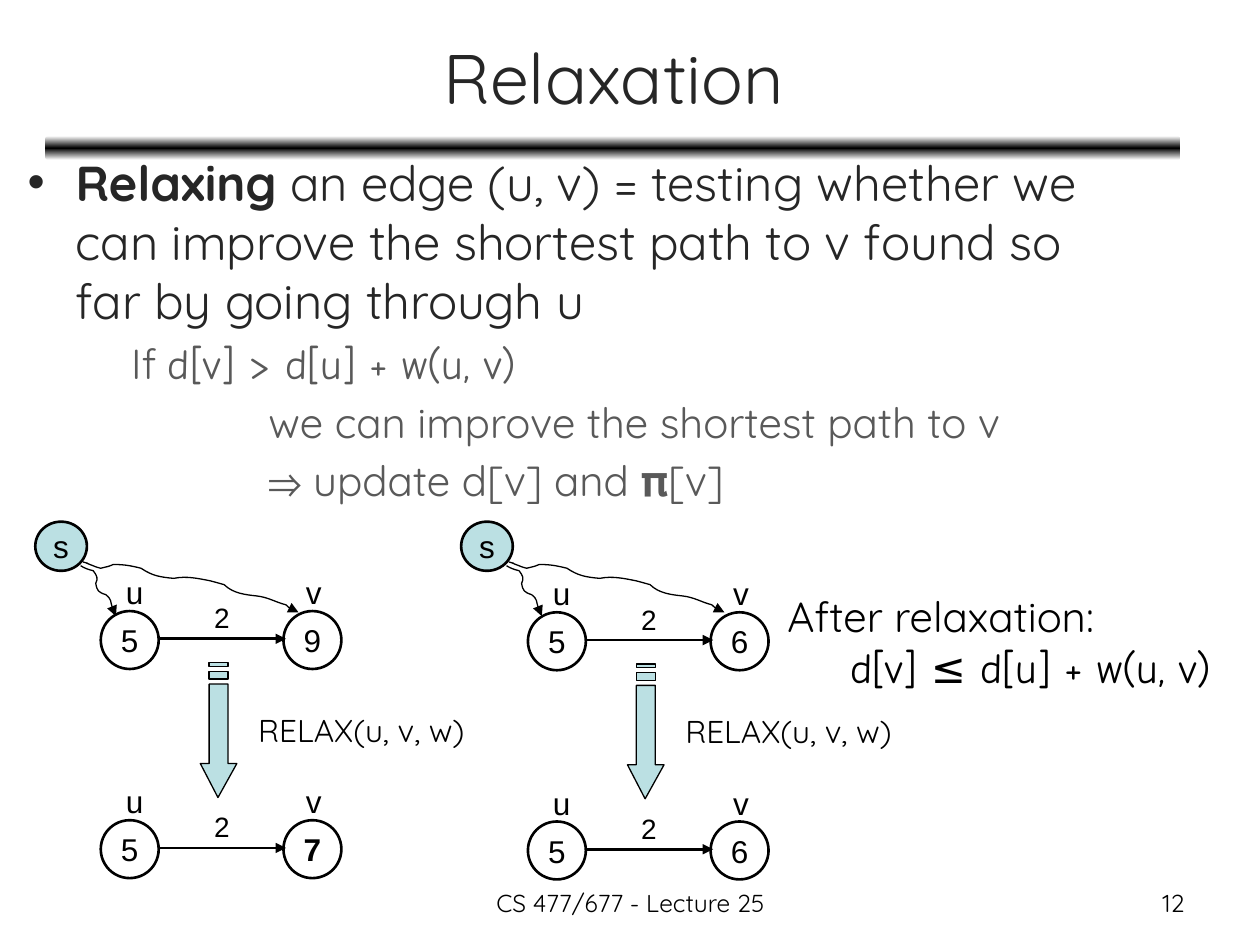
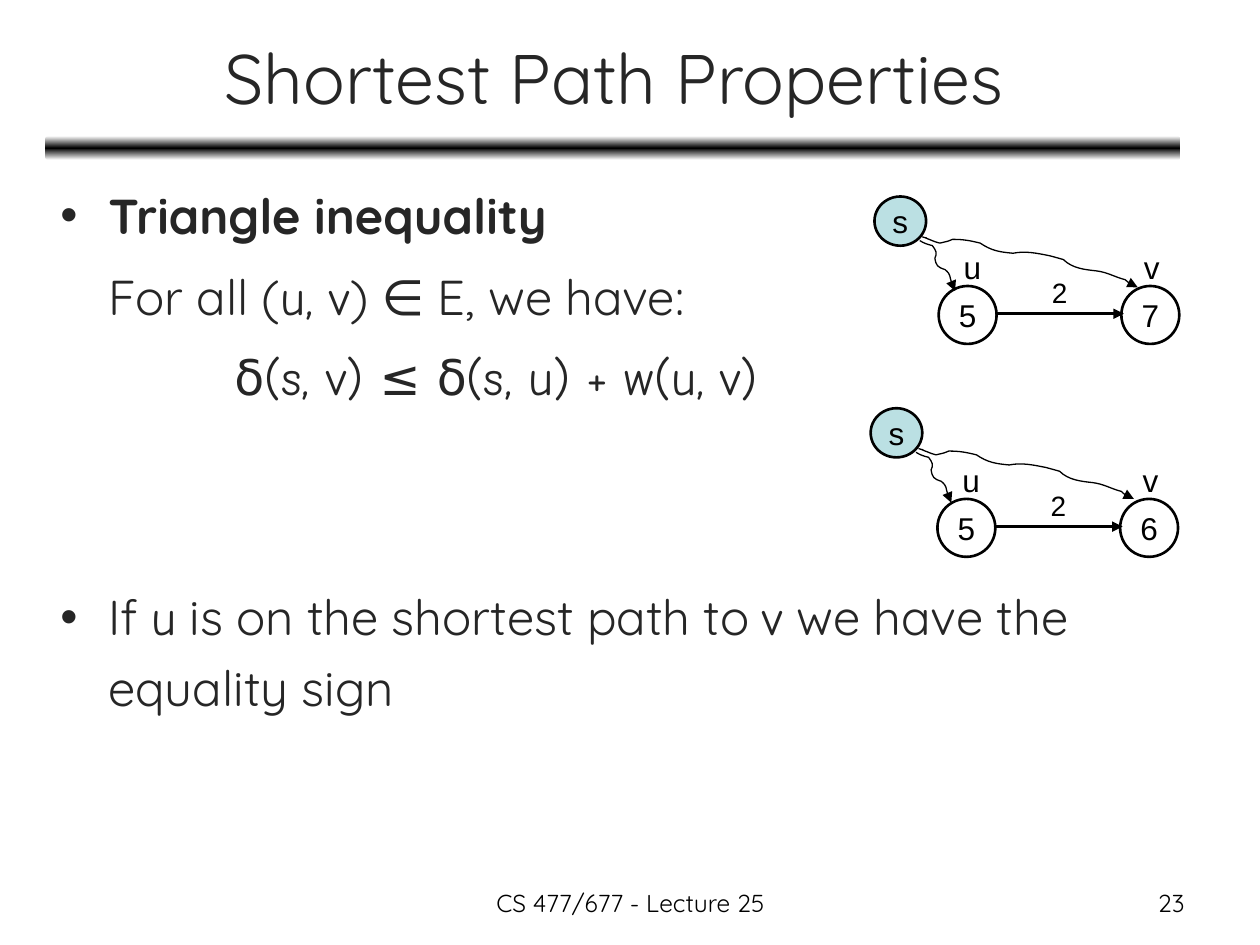
from copy import deepcopy

from pptx import Presentation
from pptx.dml.color import RGBColor
from pptx.enum.shapes import MSO_CONNECTOR, MSO_SHAPE
from pptx.enum.text import MSO_ANCHOR, MSO_AUTO_SIZE, PP_ALIGN
from pptx.oxml.ns import qn
from pptx.util import Inches, Pt

COLORS = {"title": "262626", "detail": "595959", "ink": "000000",
          "paper": "FFFFFF", "accent": "BBE0E3"}
SANS, FORMULA, LABEL = "Quicksand", "Comic Neue", "Arial"
FOOTER = "CS 477/677 - Lecture 25"

# Body paragraphs: runs are (text, font, bold); margin is the left edge in inches.
# Graphs: corner of u, corner of s, d[u], d[v]; relaxations add d[v] afterwards.
SLIDES = [
    {
        "title": "Relaxation", "number": "12",
        "body_at": (0.12, 1.16, 9, 3.19), "line_spacing": 1.0,
        "body": [
            {"bullet": True, "runs": [
                ("Relaxing ", SANS, True),
                ("an edge (u, v) = testing whether we can improve the shortest "
                 "path to v found so far by going through u", SANS, False)]},
            {"margin": 0.82, "size": 24, "color": "detail", "before": 4.8, "runs": [
                ("If ", SANS, False), ("d[v] > d[u] + w(u, v)", FORMULA, False)]},
            {"margin": 1.91, "size": 24, "color": "detail", "before": 4.8, "runs": [
                ("we can improve the shortest path to v", SANS, False)]},
            {"margin": 1.91, "size": 24, "color": "detail", "before": 4.8, "runs": [
                ("⇒ update d[v] and 𝛑[v]", SANS, False)]},
        ],
        "relaxations": [((0.8, 4.85), (0.28, 4.14), "5", "9", "7"),
                        ((4.19, 4.86), (3.66, 4.14), "5", "6", "6")],
        "graphs": [],
        "result": ("After relaxation:", "d[v] ≤ d[u] + w(u, v)"),
    },
    {
        "title": "Shortest Path Properties", "number": "23",
        "body_at": (0.38, 1.33, 9.19, 5.55), "line_spacing": 1.2,
        "body": [
            {"bullet": True, "runs": [("Triangle inequality", SANS, True)]},
            {"runs": [("For all (", SANS, False), ("u, v", FORMULA, False),
                      (") ∈ E, we have:", SANS, False)]},
            {"margin": 1.38, "runs": [
                ("δ(s, v) ≤ δ(s, u) + w(u, v)", FORMULA, False)]},
            {"bullet": True, "before": 97, "runs": [
                ("If ", SANS, False), ("u", FORMULA, False),
                (" is on the shortest path to ", SANS, False),
                ("v", FORMULA, False),
                (" we have the equality sign", SANS, False)]},
        ],
        "relaxations": [],
        "graphs": [((7.45, 2.27), (6.94, 1.56), "5", "7"),
                   ((7.44, 3.96), (6.91, 3.24), "5", "6")],
        "result": None,
    },
]

# Bezier points measured from the corner of node s: a start, then three per curve.
PATH_TO_U = [
    (.36, .35), (.39, .37), (.42, .38), (.46, .39), (.49, .43), (.5, .45), (.48, .49),
    (.49, .55), (.5, .56), (.56, .58), (.61, .62), (.59, .64), (.62, .7),
    (.63, .74), (.63, .72), (.64, .75)]
PATH_TO_V = [
    (.38, .32), (.48, .35), (.33, .3), (.46, .35), (.48, .36), (.52, .37), (.52, .37),
    (.6, .35), (.57, .36), (.62, .34), (.71, .34), (.76, .35), (.84, .37),
    (.93, .43), (.99, .44), (1.1, .45), (1.2, .43), (1.29, .45), (1.39, .47),
    (1.43, .48), (1.5, .5), (1.5, .5), (1.57, .57), (1.67, .58), (1.76, .59),
    (1.85, .6), (1.91, .64), (1.99, .66), (2.01, .68), (2.04, .7), (2.06, .71),
    (2.07, .71), (2.09, .72), (2.09, .72)]

# Striped arrow pointing right: head with shaft, then two stripes.
STRIPED_ARROW = [
    [(.8, 0), (.8, .07), (.17, .07), (.17, .22), (.8, .22), (.8, .29), (1.07, .15)],
    [(.07, .07), (.07, .22), (.13, .22), (.13, .07)],
    [(0, .07), (0, .22), (.03, .22), (.03, .07)]]


def rgb(name):
    return RGBColor.from_string(COLORS[name])


def add_run(p, text, size=18, font=LABEL, color="ink", bold=False):
    r = p.add_run()
    r.text = text
    r.font.size, r.font.name, r.font.bold = Pt(size), font, bold
    r.font.color.rgb = rgb(color)


def place(sp, x, y, w, h):
    sp.left, sp.top, sp.width, sp.height = (Inches(n) for n in (x, y, w, h))


def add_label(s, text, at, align=PP_ALIGN.LEFT, wrap=False, **fmt):
    tf = s.shapes.add_textbox(*map(Inches, at)).text_frame
    tf.word_wrap = wrap
    tf.auto_size = MSO_AUTO_SIZE.NONE if wrap else MSO_AUTO_SIZE.SHAPE_TO_FIT_TEXT
    p = tf.paragraphs[0]
    p.alignment = align
    add_run(p, text, **fmt)
    return tf


def style(sp, width, fill=None):
    sp.shadow.inherit = False
    if fill:
        sp.fill.solid()
        sp.fill.fore_color.rgb = rgb(fill)
    else:
        sp.fill.background()
    sp.line.color.rgb = rgb("ink")
    sp.line.width = Pt(width)


def add_arrowhead(sp):
    ln = sp.line._get_or_add_ln()
    ln.append(ln.makeelement(qn("a:tailEnd"), {"type": "triangle"}))


def add_node(s, text, x, y, w=0.46, h=0.46, fill=None, bold=False):
    sp = s.shapes.add_shape(MSO_SHAPE.OVAL, *map(Inches, (x, y, w, h)))
    style(sp, 1.5, fill)
    tf = sp.text_frame
    tf.word_wrap, tf.vertical_anchor = False, MSO_ANCHOR.MIDDLE
    tf.paragraphs[0].alignment = PP_ALIGN.CENTER
    add_run(tf.paragraphs[0], text, bold=bold)


def add_outline(s, contours, x, y, close):
    """Draw point lists, offset to (x, y), as one freeform."""
    moved = [[(Inches(x + px), Inches(y + py)) for px, py in c] for c in contours]
    builder = s.shapes.build_freeform(*moved[0][0], scale=1.0)
    for i, points in enumerate(moved):
        if i:
            builder.move_to(*points[0])
        builder.add_line_segments(points[1:], close=close)
    return builder.convert_to_shape()


def bend(sp):
    """Turn every three line segments of a freeform into one cubic curve."""
    outline = sp._element.spPr.find(".//" + qn("a:path"))
    segments = outline.findall(qn("a:lnTo"))
    for i in range(0, len(segments), 3):
        curve = outline.makeelement(qn("a:cubicBezTo"), {})
        for segment in segments[i:i + 3]:
            curve.append(segment[0])
            outline.remove(segment)
        outline.append(curve)


def add_edge(s, x, y, du, dv, bold=False):
    """Draw edge u-v of weight 2, with node u's corner at (x, y)."""
    add_node(s, du, x, y)
    add_node(s, dv, x + 1.45, y, bold=bold)
    edge = s.shapes.add_connector(
        MSO_CONNECTOR.STRAIGHT,
        *map(Inches, (x + 0.46, y + 0.22, x + 1.47, y + 0.22)))
    edge.line.color.rgb = rgb("ink")
    edge.line.width = Pt(1.5)
    add_arrowhead(edge)
    sp_pr = edge._element.spPr
    sp_pr.append(sp_pr.makeelement(qn("a:effectLst"), {}))
    add_label(s, "2", (x + 0.8, y - 0.13, 0.32, 0.37), size=16)
    add_label(s, "u", (x + 0.1, y - 0.35, 0.34, 0.4))
    add_label(s, "v", (x + 1.53, y - 0.35, 0.33, 0.4))


def add_graph(s, u_at, s_at, du, dv):
    """Draw edge u-v with source s and its paths to both nodes."""
    add_edge(s, *u_at, du, dv)
    add_node(s, "s", *s_at, 0.41, 0.39, fill="accent")
    for points in (PATH_TO_U, PATH_TO_V):
        sp = add_outline(s, [points], *s_at, close=False)
        bend(sp)
        style(sp, 0.75)
        add_arrowhead(sp)


def add_relaxation(s, u_at, s_at, du, before, after):
    x, y = u_at
    add_graph(s, u_at, s_at, du, before)
    arrow = add_outline(s, STRIPED_ARROW, x + 0.4, y + 0.8, close=True)
    arrow.rotation = 90
    style(arrow, 0.75, "accent")
    add_label(s, "RELAX(u, v, w)", (x + 1.15, y + 0.74, 1.91, 0.4), font=SANS)
    add_edge(s, x, y + 1.66, du, after, bold=after != before)


def add_band(s):
    band = s.shapes.add_shape(MSO_SHAPE.ROUNDED_RECTANGLE,
                              *map(Inches, (0.36, 1.08, 9.01, 0.19)))
    band.shadow.inherit = False
    band.line.fill.background()
    band.fill.gradient()
    band.fill.gradient_angle = 90
    stops = band._element.spPr.find(".//" + qn("a:gsLst"))
    stops.append(deepcopy(stops[-1]))
    for stop, pos, color in zip(band.fill.gradient_stops, (0, 0.5, 1),
                                ("paper", "ink", "paper")):
        stop.position, stop.color.rgb = pos, rgb(color)
    s.shapes._spTree.insert(2, band._element)


def set_indent(p, margin, bullet=False):
    pPr = p._p.get_or_add_pPr()
    pPr.set("marL", str(Inches(margin)))
    pPr.set("indent", str(-Inches(margin) if bullet else 0))
    if bullet:
        pPr.append(pPr.makeelement(qn("a:buFont"), {"typeface": LABEL}))
        pPr.append(pPr.makeelement(qn("a:buChar"), {"char": "•"}))
    else:
        pPr.append(pPr.makeelement(qn("a:buNone"), {}))


def fill_body(sp, data):
    place(sp, *data["body_at"])
    tf = sp.text_frame
    tf.auto_size, tf.vertical_anchor = MSO_AUTO_SIZE.NONE, MSO_ANCHOR.TOP
    for i, item in enumerate(data["body"]):
        p = tf.add_paragraph() if i else tf.paragraphs[0]
        p.line_spacing = data["line_spacing"]
        p.space_before = Pt(item.get("before", 5.6))
        set_indent(p, item.get("margin", 0.38), item.get("bullet", False))
        for text, font, bold in item["runs"]:
            add_run(p, text, size=item.get("size", 28), font=font,
                    color=item.get("color", "title"), bold=bold)


def add_slide(prs, data):
    s = prs.slides.add_slide(prs.slide_layouts[1])
    add_band(s)
    title = s.shapes.title
    place(title, 0.37, 0.11, 9, 0.99)
    title.text_frame.auto_size = MSO_AUTO_SIZE.NONE
    title.text_frame.vertical_anchor = MSO_ANCHOR.MIDDLE
    p = title.text_frame.paragraphs[0]
    p.alignment = PP_ALIGN.CENTER
    add_run(p, data["title"], size=40, font=SANS, color="title")
    fill_body(s.placeholders[1], data)

    for relaxation in data["relaxations"]:
        add_relaxation(s, *relaxation)
    for graph in data["graphs"]:
        add_graph(s, *graph)
    if data["result"]:
        heading, formula = data["result"]
        tf = add_label(s, heading, (6.15, 4.64, 3.71, 0.91), wrap=True,
                       size=24, font=SANS)
        p = tf.add_paragraph()
        set_indent(p, 0.5)
        add_run(p, formula, size=24, font=FORMULA)

    add_label(s, FOOTER, (3.42, 7, 3.17, 0.35), PP_ALIGN.CENTER, True,
              size=14, font=SANS)
    add_label(s, data["number"], (7.17, 7, 2.33, 0.35), PP_ALIGN.RIGHT, True,
              size=14, font=SANS)


def main():
    prs = Presentation()
    prs.slide_width, prs.slide_height = Inches(10), Inches(7.5)
    for data in SLIDES:
        add_slide(prs, data)
    prs.save("out.pptx")


if __name__ == "__main__":
    main()
